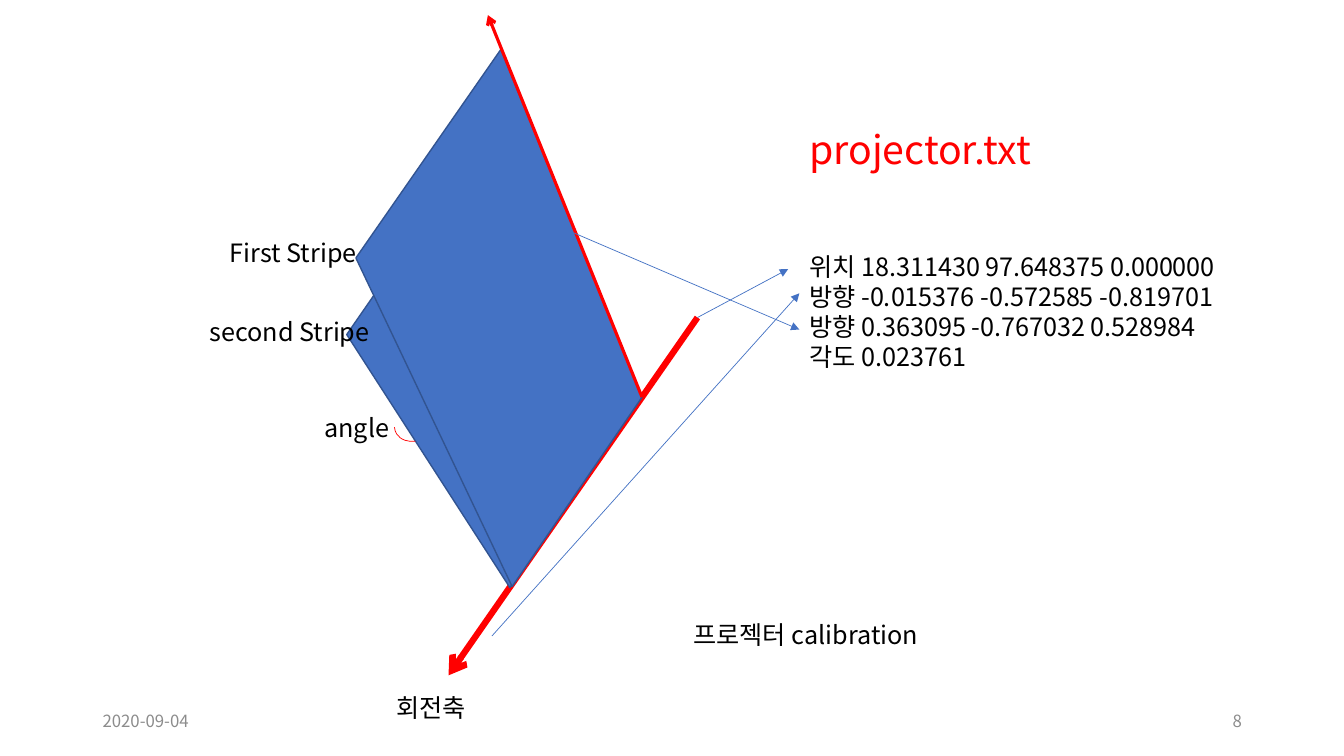
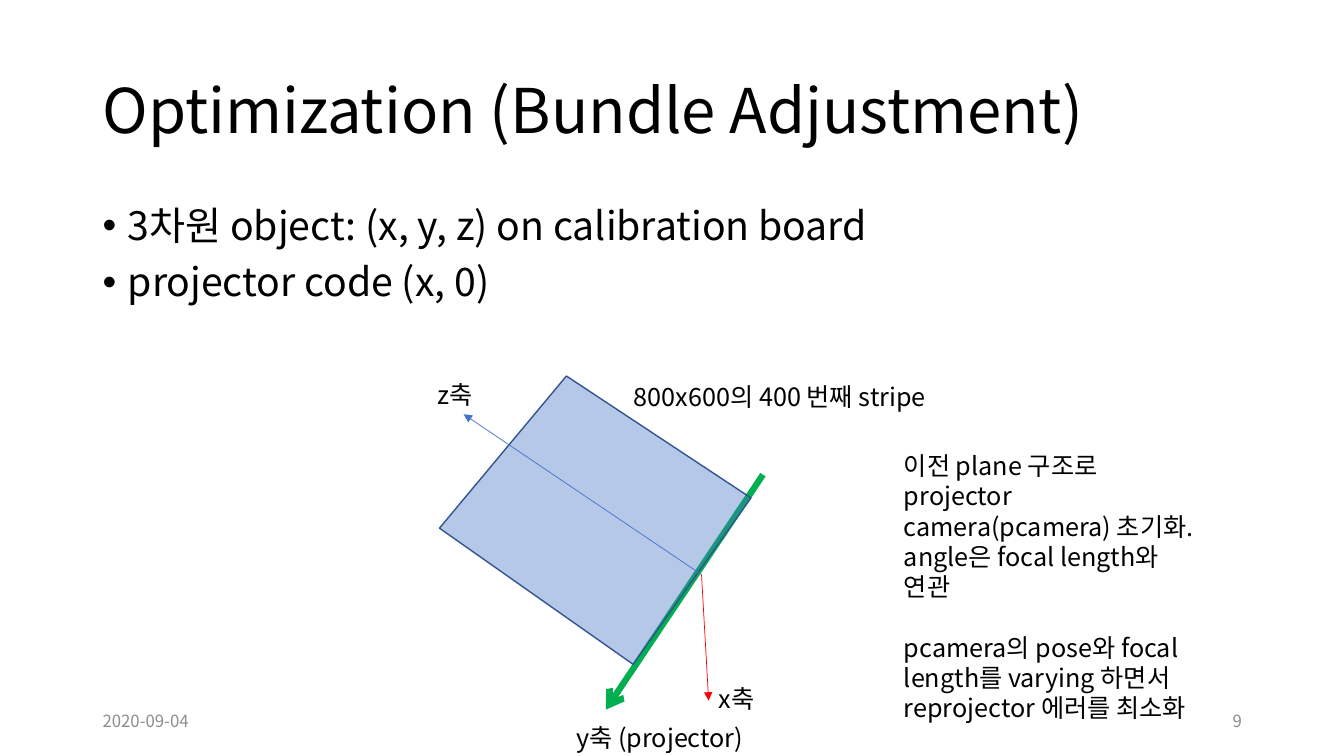
from dataclasses import dataclass

from lxml import etree
from pptx import Presentation
from pptx.dml.color import RGBColor
from pptx.enum.shapes import MSO_CONNECTOR, MSO_SHAPE
from pptx.enum.text import MSO_ANCHOR, PP_ALIGN
from pptx.oxml.ns import qn
from pptx.util import Pt

STRAIGHT = MSO_CONNECTOR.STRAIGHT
ARC = MSO_SHAPE.ARC
TOP, MIDDLE = MSO_ANCHOR.TOP, MSO_ANCHOR.MIDDLE
LEFT, RIGHT = PP_ALIGN.LEFT, PP_ALIGN.RIGHT


@dataclass(frozen=True)
class Theme:
    font: str = "Noto Sans CJK KR"
    black: str = "000000"
    gray: str = "8C8C8C"
    blue: str = "4472C4"
    outline: str = "325491"
    red: str = "FF0000"
    green: str = "00B050"
    title: int = 44
    large: int = 28
    normal: int = 18
    small: int = 12
    thin: float = 0.5
    edge: float = 1
    medium: float = 2.25
    thick: float = 4.5


THEME = Theme()
SLIDE_SIZE = (960, 540)
MARGIN = 66.2
CONTENT_WIDTH = 828
FOOTER_TOP, FOOTER_WIDTH = 500.4, 216
LABEL_HEIGHT = 27
DATE = "2020-09-04"

# Slide 8: points are (x, y); labels are (text, left, top, width)
AXIS_START, AXIS_END = (498.2, 226.8), (320.4, 482.4)
STRIPE_CORNER = (458.6, 283.7)
SECOND_STRIPE = [(364.3, 419.8), (247.7, 239), (356.4, 82.1), (456.5, 280.8)]
FIRST_STRIPE = [(365.8, 419), (254.2, 184.3), (357.8, 35.3), STRIPE_CORNER]
STRIPE_DIRECTION_END = (348.5, 10.8)
VALUE_POINTERS = [
    (AXIS_START, (563, 192.2)),
    ((351.4, 454.3), (571, 209.5)),
    ((409.7, 166.3), (571, 235.4)),
]
ANGLE_ARC = (280.1, 284.4, 41.8, 28.8)
ARC_ROTATION, ARC_DEGREES = 327.7, (136.71, 193.91)
STRIPE_LABELS = [
    ("회전축", 275.8, 491, 146),
    ("First Stripe", 157, 166.3, 136),
    ("second Stripe", 142.6, 222.5, 136),
    ("angle", 224.6, 290.9, 127),
    ("프로젝터 calibration", 488.2, 438.5, 276),
]
FILE_NAME = "projector.txt"
FILE_VALUES = [
    "위치 18.311430 97.648375 0.000000",
    "방향 -0.015376 -0.572585 -0.819701",
    "방향 0.363095 -0.767032 0.528984",
    "각도 0.023761",
]

# Slide 9
TITLE = "Optimization (Bundle Adjustment)"
BULLETS = [
    "3차원 object: (x, y, z) on calibration board",
    "projector code (x, 0)",
]
ORIGIN = (501.1, 410.4)
Y_AXIS = ((545, 339.1), (432.7, 506.9))
Z_AXIS_END, X_AXIS_END = (331.2, 295.9), (506.2, 500.4)
PROJECTOR_PLANE = [(452.2, 474.5), (313.9, 377.3), (404.6, 268.6), (536.4, 355.7)]
AXIS_LABELS = [
    ("y축 (projector)", 404.6, 512.6, 158),
    ("z축", 305.3, 267.1, 65),
    ("800x600의 400 번째 stripe", 445.7, 268.6, 328),
    ("x축", 506.2, 484.6, 78),
]
NOTES = [
    "이전 plane 구조로 projector camera(pcamera) 초기화. angle은 focal length와 연관",
    "pcamera의 pose와 focal length를 varying 하면서 reprojector 에러를 최소화",
]


def color(value):
    return RGBColor.from_string(value)


def add_bullet(paragraph, indent):
    properties = paragraph._p.get_or_add_pPr()
    properties.set("marL", str(Pt(indent)))
    properties.set("indent", str(-Pt(indent)))
    etree.SubElement(properties, qn("a:buFont")).set("typeface", "Arial")
    etree.SubElement(properties, qn("a:buChar")).set("char", "•")


def add_text(slide, text, left, top, width, height=LABEL_HEIGHT, *, size=THEME.normal,
             ink=THEME.black, align=LEFT, anchor=TOP, line_spacing=None,
             space_before=0, gap=0, bullet_indent=0):
    """Write a string, or a list of paragraphs separated by gap, in a text box."""
    box = slide.shapes.add_textbox(Pt(left), Pt(top), Pt(width), Pt(height))
    frame = box.text_frame
    frame.word_wrap = True
    frame.vertical_anchor = anchor
    lines = [text] if isinstance(text, str) else text
    for index, line in enumerate(lines):
        paragraph = frame.add_paragraph() if index else frame.paragraphs[0]
        paragraph.alignment = align
        paragraph.space_before = Pt(space_before + (gap if index else 0))
        if line_spacing:
            paragraph.line_spacing = line_spacing
        if bullet_indent:
            add_bullet(paragraph, bullet_indent)
        run = paragraph.add_run()
        run.text = line
        run.font.size = Pt(size)
        run.font.color.rgb = color(ink)
        run.font.name = THEME.font
        east_asian = etree.SubElement(run._r.get_or_add_rPr(), qn("a:ea"))
        east_asian.set("typeface", THEME.font)


def add_labels(slide, labels):
    for label in labels:
        add_text(slide, *label)


def add_arrow(slide, start, end, *, ink=THEME.blue, width=THEME.thin, tip="triangle"):
    points = [Pt(value) for value in (*start, *end)]
    connector = slide.shapes.add_connector(STRAIGHT, *points)
    connector.line.color.rgb = color(ink)
    connector.line.width = Pt(width)
    etree.SubElement(connector.line._get_or_add_ln(), qn("a:tailEnd")).set("type", tip)
    etree.SubElement(connector._element.spPr, qn("a:effectLst"))


def add_plane(slide, corners, opacity=100):
    points = [(Pt(x), Pt(y)) for x, y in corners]
    builder = slide.shapes.build_freeform(*points[0])
    builder.add_line_segments(points[1:], close=True)
    plane = builder.convert_to_shape()
    plane.shadow.inherit = False
    plane.fill.solid()
    plane.fill.fore_color.rgb = color(THEME.blue)
    plane.line.color.rgb = color(THEME.outline)
    plane.line.width = Pt(THEME.edge)
    if opacity < 100:
        fill = plane._element.spPr.find(qn("a:solidFill"))
        etree.SubElement(fill[0], qn("a:alpha")).set("val", str(opacity * 1000))


def add_angle_arc(slide):
    arc = slide.shapes.add_shape(ARC, *map(Pt, ANGLE_ARC))
    arc.rotation = ARC_ROTATION
    for index, degrees in enumerate(ARC_DEGREES):
        arc.adjustments[index] = degrees * 0.6  # 60000 units a degree, scaled by 100000
    arc.shadow.inherit = False
    arc.fill.background()
    arc.line.color.rgb = color(THEME.red)
    arc.line.width = Pt(THEME.thin)


def add_slide(presentation, number):
    """Add a blank slide with the shared date and slide number."""
    slide = presentation.slides.add_slide(presentation.slide_layouts[6])
    number_left = MARGIN + CONTENT_WIDTH - FOOTER_WIDTH
    for text, left, align in ((DATE, MARGIN, LEFT), (str(number), number_left, RIGHT)):
        add_text(slide, text, left, FOOTER_TOP, FOOTER_WIDTH, 28.8, size=THEME.small,
                 ink=THEME.gray, align=align, anchor=MIDDLE)
    return slide


def build_calibration(presentation):
    slide = add_slide(presentation, 8)
    add_arrow(slide, AXIS_START, AXIS_END, ink=THEME.red, width=THEME.thick, tip="arrow")
    add_plane(slide, SECOND_STRIPE)
    add_plane(slide, FIRST_STRIPE)
    add_angle_arc(slide)
    add_arrow(slide, STRIPE_CORNER, STRIPE_DIRECTION_END, ink=THEME.red,
              width=THEME.medium, tip="arrow")
    for start, end in VALUE_POINTERS:
        add_arrow(slide, start, end)
    add_labels(slide, STRIPE_LABELS)
    add_text(slide, FILE_NAME, 571, 85.7, 239, 41, size=THEME.large, ink=THEME.red)
    add_text(slide, FILE_VALUES, 571, 175.7, 380, 94.3)


def build_optimization(presentation):
    slide = add_slide(presentation, 9)
    add_text(slide, TITLE, MARGIN, 28.8, CONTENT_WIDTH, 104.4, size=THEME.title,
             anchor=MIDDLE, line_spacing=0.9)
    add_text(slide, BULLETS, MARGIN, 144, CONTENT_WIDTH, 100, size=THEME.large,
             line_spacing=0.9, space_before=10, bullet_indent=18)
    add_arrow(slide, *Y_AXIS, ink=THEME.green, width=THEME.thick, tip="arrow")
    add_plane(slide, PROJECTOR_PLANE, opacity=39)
    add_arrow(slide, ORIGIN, Z_AXIS_END)
    add_arrow(slide, ORIGIN, X_AXIS_END, ink=THEME.red)
    add_labels(slide, AXIS_LABELS)
    add_text(slide, NOTES, 638.6, 318.2, 232.6, 181.4, gap=21.6)


def main():
    presentation = Presentation()
    presentation.slide_width, presentation.slide_height = map(Pt, SLIDE_SIZE)
    build_calibration(presentation)
    build_optimization(presentation)
    presentation.save("out.pptx")


if __name__ == "__main__":
    main()
